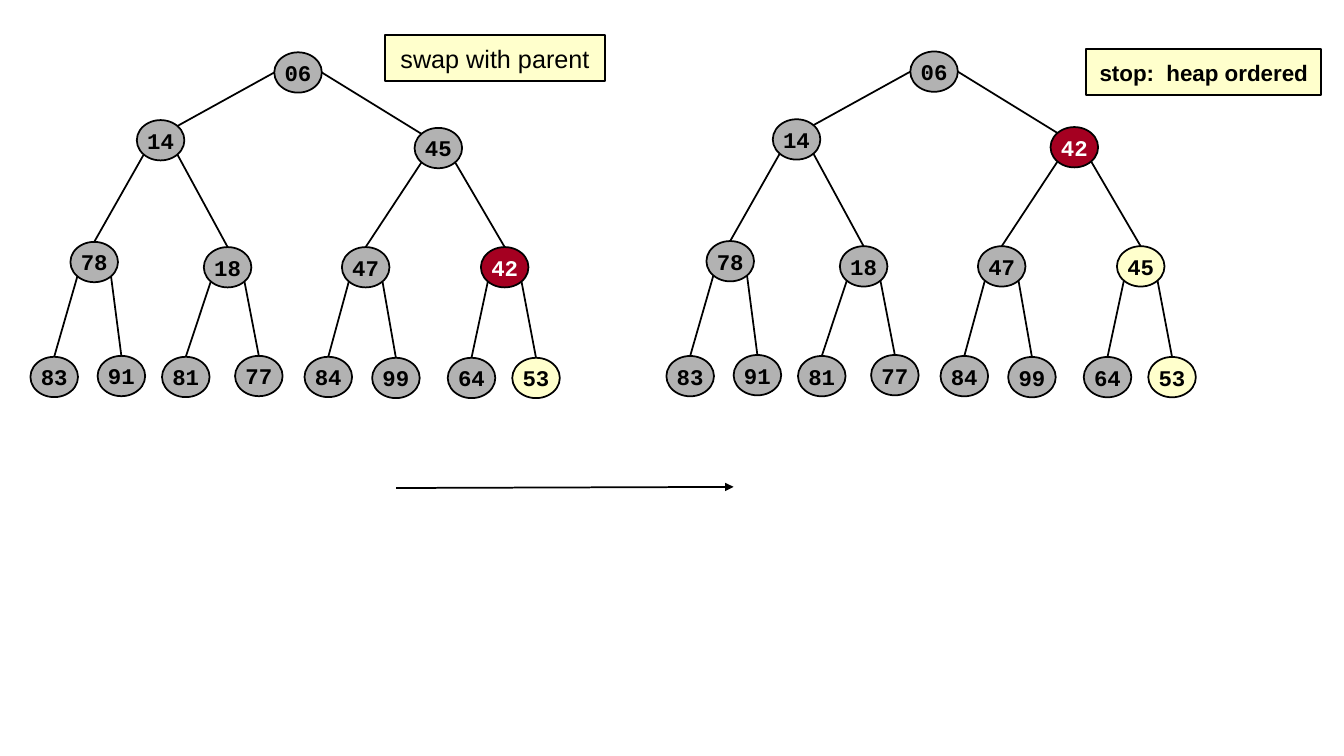
"""Build a slide showing a heap before and after a swap with the parent."""
from math import sqrt

from pptx import Presentation
from pptx.dml.color import RGBColor
from pptx.enum.shapes import MSO_CONNECTOR, MSO_SHAPE
from pptx.enum.text import MSO_ANCHOR, PP_ALIGN
from pptx.oxml.ns import qn
from pptx.util import Pt
from lxml.etree import SubElement

BLACK = RGBColor(0x00, 0x00, 0x00)
WHITE = RGBColor(0xFF, 0xFF, 0xFF)
GRAY = RGBColor(0xB2, 0xB2, 0xB2)
RED = RGBColor(0xA5, 0x00, 0x21)
CREAM = RGBColor(0xFF, 0xFF, 0xCC)

LINE_WIDTH = Pt(1.25)
NODE_WIDTH, NODE_HEIGHT = 34, 28.8
DIAGONAL = sqrt(0.5)
NODE_OFFSETS = [
    (174.2, 0),
    (76, 48.4), (274.4, 54),
    (28.6, 135.4), (123.9, 139.1), (222.5, 139.1), (321.8, 139.1),
    (0, 217.5), (48, 216.8), (94, 217.5), (146.2, 216.8),
    (195.8, 217.5), (244.1, 218.2), (298.1, 218.2), (344.2, 218.2),
]


def add_line(slide, start, end, arrow=False):
    """Draw a black line, with an arrowhead at its end if asked."""
    points = [Pt(value) for value in (*start, *end)]
    connector = slide.shapes.add_connector(MSO_CONNECTOR.STRAIGHT, *points)
    connector.line.color.rgb = BLACK
    connector.line.width = LINE_WIDTH
    properties = connector._element.spPr
    if arrow:
        SubElement(properties.find(qn("a:ln")), qn("a:tailEnd"), type="triangle")
    SubElement(properties, qn("a:effectLst"))


def add_label(slide, kind, box, text, fill, font_name, size, bold):
    """Draw an outlined shape with centred text in the given box."""
    shape = slide.shapes.add_shape(kind, *[Pt(value) for value in box])
    shape.shadow.inherit = False
    shape.fill.solid()
    shape.fill.fore_color.rgb = fill
    shape.line.color.rgb = BLACK
    shape.line.width = LINE_WIDTH
    frame = shape.text_frame
    frame.word_wrap = False
    frame.vertical_anchor = MSO_ANCHOR.MIDDLE
    paragraph = frame.paragraphs[0]
    paragraph.text = text
    paragraph.alignment = PP_ALIGN.CENTER
    font = paragraph.font
    font.name, font.size, font.bold = font_name, Pt(size), bold
    font.color.rgb = WHITE if fill == RED else BLACK


def rim_point(corner, across, down):
    """Return a point on a node's rim, given its direction from the centre."""
    left, top = corner
    return (left + NODE_WIDTH / 2 * (1 + across),
            top + NODE_HEIGHT / 2 * (1 + down))


def add_heap(slide, left, top, keys, highlights):
    """Draw a binary heap whose keys are given in level order."""
    corners = [(left + x, top + y) for x, y in NODE_OFFSETS]
    for child in range(1, len(keys)):
        parent = (child - 1) // 2
        side = -1 if child % 2 else 1
        if parent == 0:
            start = rim_point(corners[parent], side, 0)
            end = rim_point(corners[child], -side * DIAGONAL, -DIAGONAL)
        else:
            start = rim_point(corners[parent], side * DIAGONAL, DIAGONAL)
            end = rim_point(corners[child], 0, -1)
        add_line(slide, start, end)
    for corner, key in zip(corners, keys):
        add_label(slide, MSO_SHAPE.OVAL, (*corner, NODE_WIDTH, NODE_HEIGHT),
                  key, highlights.get(key, GRAY), "Courier New", 16, True)


def add_caption(slide, box, text, size, bold):
    """Draw a cream caption in the given box."""
    add_label(slide, MSO_SHAPE.RECTANGLE, box, text, CREAM, "Arial", size, bold)


def main():
    """Build and save the presentation."""
    presentation = Presentation()
    presentation.slide_width, presentation.slide_height = Pt(960), Pt(540)
    slide = presentation.slides.add_slide(presentation.slide_layouts[6])

    before = "06 14 45 78 18 47 42 83 91 81 77 84 99 64 53".split()
    after = "06 14 42 78 18 47 45 83 91 81 77 84 99 64 53".split()
    add_heap(slide, 21.7, 37.4, before, {"42": RED, "53": CREAM})
    add_caption(slide, (274.8, 25.2, 157.6, 32.6), "swap with parent", 18, False)
    add_heap(slide, 476, 36.8, after, {"42": RED, "45": CREAM, "53": CREAM})
    add_caption(slide, (776, 35.2, 167.8, 32.6), "stop:  heap ordered", 16, True)
    add_line(slide, (283, 348.6), (524, 347.8), arrow=True)

    presentation.save("out.pptx")


if __name__ == "__main__":
    main()
